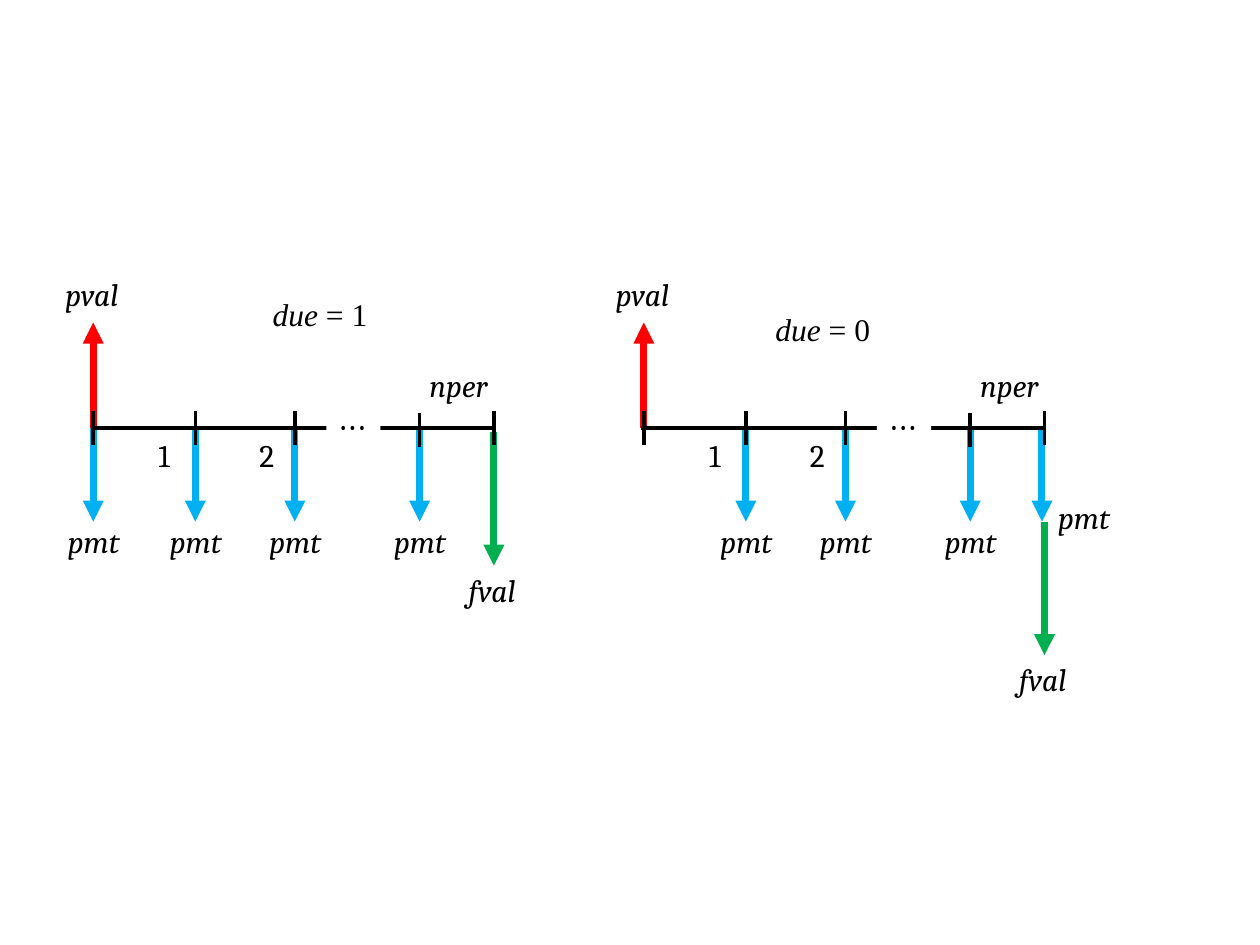
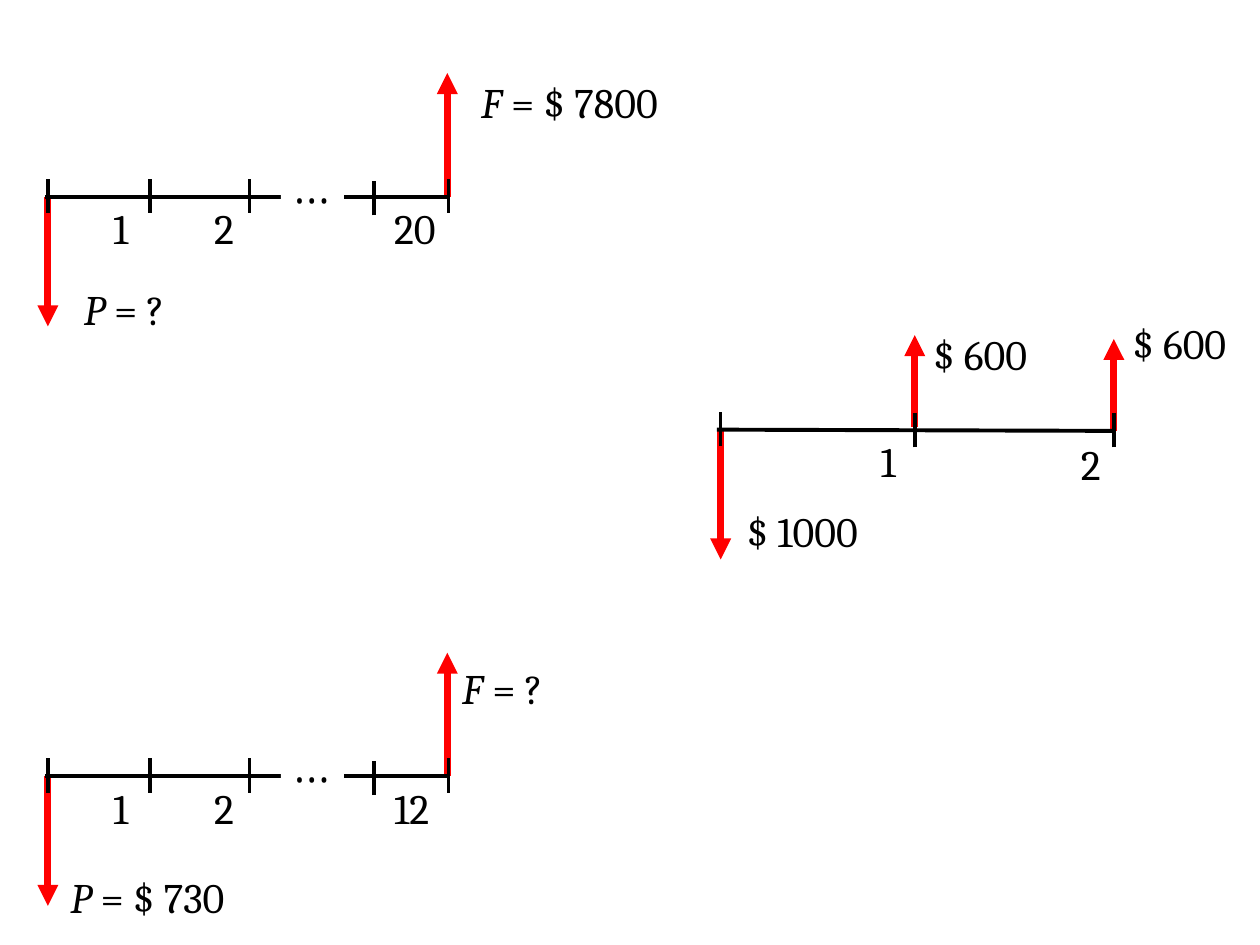
from dataclasses import dataclass
from lxml.etree import SubElement
from pptx import Presentation
from pptx.dml.color import RGBColor as Color
from pptx.enum.shapes import MSO_CONNECTOR as Connector
from pptx.enum.text import MSO_AUTO_SIZE as AutoSize, PP_ALIGN as Align
from pptx.oxml.ns import qn
from pptx.util import Inches, Pt


@dataclass(frozen=True)
class Theme:
    black: Color = Color(0, 0, 0)
    white: Color = Color(255, 255, 255)
    red: Color = Color(255, 0, 0)
    green: Color = Color(0, 176, 80)
    blue: Color = Color(0, 176, 240)
    font: str = "Cambria"
    formula_font: str = "Times New Roman"
    arrow_width: float = 4
    axis_width: float = 2.25
    tick_width: float = 2
    small: int = 18
    large: int = 24


theme = Theme()
# Period marks of the broken time line, measured from its start
TICKS = (0, 0.81, 1.6, 2.59, 3.18)
END = TICKS[-1]


class CashFlow:
    """Draws cash flow diagrams; x and y are relative to the start of the axis."""

    def __init__(self, presentation):
        self.presentation = presentation

    def new_slide(self, size):
        self.slide = self.presentation.slides.add_slide(self.presentation.slide_layouts[6])
        self.size = size

    def start_at(self, left, top):
        self.left, self.top = left, top

    def line(self, x1, y1, x2, y2, color, width):
        line = self.slide.shapes.add_connector(
            Connector.STRAIGHT,
            Inches(self.left + x1), Inches(self.top + y1),
            Inches(self.left + x2), Inches(self.top + y2))
        line.line.color.rgb = color
        line.line.width = Pt(width)
        SubElement(line._element.spPr, qn("a:effectLst"))
        return line

    def arrow(self, x, base, tip, color):
        arrow = self.line(x, base, x, tip, color, theme.arrow_width)
        SubElement(arrow.line._get_or_add_ln(), qn("a:tailEnd"), type="triangle")

    def tick(self, x, shift=0):
        self.line(x, 0.13 + shift, x, -0.14 + shift, theme.black, theme.tick_width)

    def axis(self, x1, x2, drop=0):
        self.line(x1, 0, x2, drop, theme.black, theme.axis_width)

    def label(self, x, y, width, plain="", italic="", align=None,
              wrap=False, font=theme.font, size=None):
        """A text box with an italic part followed by an upright part."""
        size = size or self.size
        box = self.slide.shapes.add_textbox(
            Inches(self.left + x), Inches(self.top + y),
            Inches(width), Inches(0.1 + size / 60))
        frame = box.text_frame
        frame.word_wrap = wrap
        frame.auto_size = AutoSize.SHAPE_TO_FIT_TEXT
        paragraph = frame.paragraphs[0]
        paragraph.alignment = align
        for text, slanted in ((italic, True), (plain, False)):
            if text:
                run = paragraph.add_run()
                run.text = text
                run.font.name = font
                run.font.size = Pt(size)
                run.font.italic = slanted
                run.font.color.rgb = theme.black
        return box

    def broken_timeline(self, number_y):
        """Axis with marks, a gap with dots, and the first two period numbers."""
        self.axis(-0.02, END)
        for x in TICKS:
            self.tick(x, 0.02 if x == TICKS[3] else 0)
        large = self.size == theme.large
        dots = self.label(1.85, -0.17, 0.5 if large else 0.43, "•••", size=16 if large else 12)
        dots.fill.solid()
        dots.fill.fore_color.rgb = theme.white
        for number, x in (("1", 0.42), ("2", 1.22)):
            self.label(x, number_y, 0.39 if large else 0.34, number)

    def annuity(self, left, payments, future_base):
        """Present value, payments and future value on a broken time line."""
        self.start_at(left, 3.4)
        self.arrow(0, 0, -0.84, theme.red)
        self.arrow(END, future_base, future_base + 1.06, theme.green)
        for x in payments:
            self.arrow(x, 0, 0.74, theme.blue)
        self.broken_timeline(0.01)
        self.label(2.57, -0.54, 0.71, italic="nper")
        self.label(-0.32, -1.27, 0.65, italic="pval")
        self.label(END - 0.3, future_base + 1.05, 0.59, italic="fval")
        for x in payments:
            if x in TICKS:
                self.label(x - 0.3, 0.69, 0.64, italic="pmt")
            else:
                self.label(x + 0.03, 0.5, 0.64, italic="pmt")

    def single_payment(self, top, periods):
        """One payment out at the start and one in at the end."""
        self.start_at(0.38, top)
        self.arrow(END - 0.01, 0, -0.98, theme.red)
        self.arrow(0, 0, 1.03, theme.red)
        self.broken_timeline(0)
        self.label(2.65, 0, 0.57, periods)


presentation = Presentation()
presentation.slide_width, presentation.slide_height = Inches(10), Inches(7.5)
diagram = CashFlow(presentation)

# Slide 1: payments at the start and at the end of each period
diagram.new_slide(theme.small)
formula = dict(italic="due", align=Align.CENTER, wrap=True, font=theme.formula_font)
diagram.annuity(0.74, TICKS[:4], 0.03)
diagram.label(1.2, -1.11, 1.2, " = 1", **formula)
diagram.annuity(5.11, TICKS[1:4] + (END - 0.02,), 0.74)
diagram.label(0.8, -0.99, 1.24, " = 0", **formula)

# Slide 2: unknown present value
diagram.new_slide(theme.large)
diagram.single_payment(1.56, "20")
diagram.label(-0.02, 0.64, 1.25, " = ?", "P", Align.CENTER, True)
diagram.label(3.34, -1, 1.77, "= $ 7800", "F ", wrap=True)

# Slide 2: two equal receipts
diagram.start_at(5.72, 3.41)
diagram.arrow(3.12, 0.01, -0.72, theme.red)
diagram.arrow(1.54, -0.02, -0.75, theme.red)
diagram.arrow(0, 0, 1.03, theme.red)
diagram.axis(-0.03, 3.12, 0.01)
for mark in (0, 1.54, 3.12):
    diagram.tick(mark, 0.01 if mark else 0)
for text, x, y, width in (("1", 1.17, 0, 0.39), ("2", 2.76, 0.02, 0.39),
                          ("$ 1000", 0.11, 0.55, 1.19),
                          ("$ 600", 1.59, -0.85, 1), ("$ 600", 3.17, -0.94, 1)):
    diagram.label(x, y, width, text)

# Slide 2: unknown future value
diagram.single_payment(6.16, "12")
diagram.label(3.19, -0.95, 0.98, "= ?", "F ", wrap=True)
diagram.label(-0.03, 0.71, 1.64, "= $ 730", "P ", Align.CENTER, True)

presentation.save("out.pptx")
